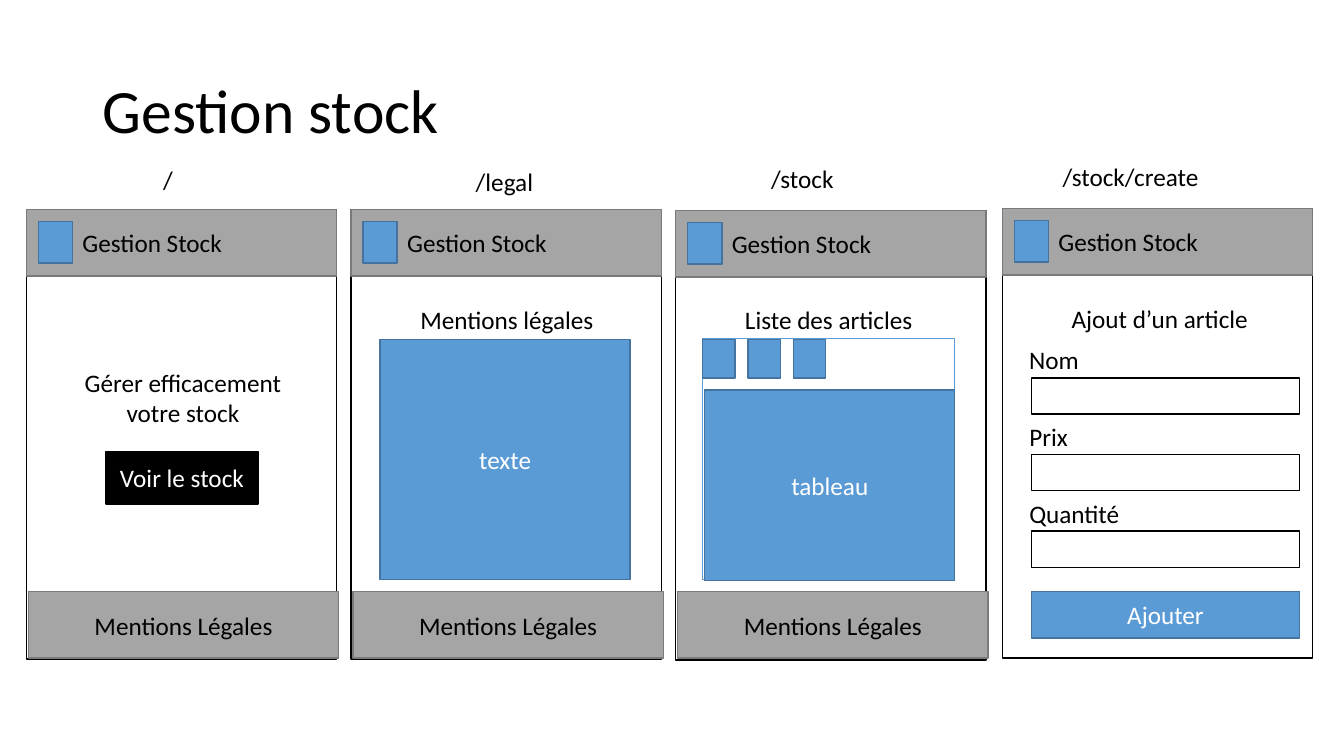
from pptx import Presentation
from pptx import util as u
from pptx.dml.color import RGBColor
from pptx.enum import shapes, text

PX = 9144  # 100 px to the inch
BLACK = RGBColor(0x00, 0x00, 0x00)
WHITE = RGBColor(0xFF, 0xFF, 0xFF)
GREY = RGBColor(0xA5, 0xA5, 0xA5)
DARK_GREY = RGBColor(0x7A, 0x7A, 0x7A)
BLUE = RGBColor(0x5B, 0x9B, 0xD5)
DARK_BLUE = RGBColor(0x43, 0x73, 0x9E)

deck = Presentation()
deck.slide_width, deck.slide_height = 1333 * PX, 750 * PX
slide = deck.slides.add_slide(deck.slide_layouts[6])


def add_box(left, top, width, height, fill, line, words="", color=WHITE):
    box = slide.shapes.add_shape(shapes.MSO_SHAPE.RECTANGLE,
                                 left * PX, top * PX, width * PX, height * PX)
    box.shadow.inherit = False
    box.fill.solid()
    box.fill.fore_color.rgb = fill
    box.line.color.rgb = line
    box.line.width = u.Pt(1)
    if words:
        box.text_frame.vertical_anchor = text.MSO_ANCHOR.MIDDLE
        para = box.text_frame.paragraphs[0]
        para.alignment = text.PP_ALIGN.CENTER
        span = para.add_run()
        span.text = words
        span.font.color.rgb = color
        for name, value in {"name": "Calibri", "size": u.Pt(18)}.items():
            setattr(span.font, name, value)


def add_label(left, top, width, words, height=40, size=18, wrap=False):
    box = slide.shapes.add_textbox(left * PX, top * PX, width * PX, height * PX)
    box.text_frame.word_wrap = wrap
    para = box.text_frame.paragraphs[0]
    span = para.add_run()
    span.text = words
    span.font.color.rgb = BLACK
    for name, value in {"name": "Calibri", "size": u.Pt(size)}.items():
        setattr(span.font, name, value)
    return box.text_frame


# Title
title = add_label(92, 40, 1150, "Gestion stock", height=145, size=44, wrap=True)
title.vertical_anchor = text.MSO_ANCHOR.MIDDLE
title.paragraphs[0].line_spacing = 0.9

# Four screens: frame, header bar, logo block, app name, footer
screens = [(26, 208, True), (348, 208, True), (670, 209, True), (994, 207, False)]
for left, top, has_footer in screens:
    add_box(left, top, 308, 446, WHITE, BLACK)
    add_box(left, top, 308, 66, GREY, DARK_GREY)
    add_box(left + 12, top + 12, 34, 41, BLUE, DARK_BLUE)
    add_label(left + 46, top + 13, 160, "Gestion Stock")
    if has_footer:
        add_box(left + 2, 587, 308, 66, GREY, DARK_GREY, "Mentions Légales", BLACK)

# Routes above the screens
for left, top, width, route in [(152, 158, 30, "/"), (462, 160, 78, "/legal"),
                                (755, 157, 83, "/stock"),
                                (1044, 155, 156, "/stock/create")]:
    add_label(left, top, width, route)

# Home screen
slogan = add_label(61, 359, 241, "Gérer efficacement votre stock", height=71, wrap=True)
slogan.paragraphs[0].alignment = text.PP_ALIGN.CENTER
add_box(105, 448, 151, 52, BLACK, BLACK, "Voir le stock")

# Legal screen
add_label(407, 297, 194, "Mentions légales")
add_box(377, 337, 248, 238, BLUE, DARK_BLUE, "texte")

# Stock list screen: toolbar buttons over a table block
add_label(729, 297, 188, "Liste des articles")
add_box(697, 336, 250, 239, WHITE, BLUE)
add_box(699, 387, 248, 189, BLUE, DARK_BLUE, "tableau")
for index in range(3):
    add_box(697 + 45 * index, 337, 32, 38, BLUE, DARK_BLUE)

# Creation screen: three labelled fields and a button
add_label(1053, 296, 197, "Ajout d’un article")
for index, (field, width) in enumerate([("Nom", 70), ("Prix", 59), ("Quantité", 111)]):
    add_label(1011, 337 + 76 * index, width, field)
    add_box(1023, 375 + 76 * index, 266, 36, WHITE, BLACK)
add_box(1023, 587, 266, 46, BLUE, DARK_BLUE, "Ajouter")

deck.save("out.pptx")
